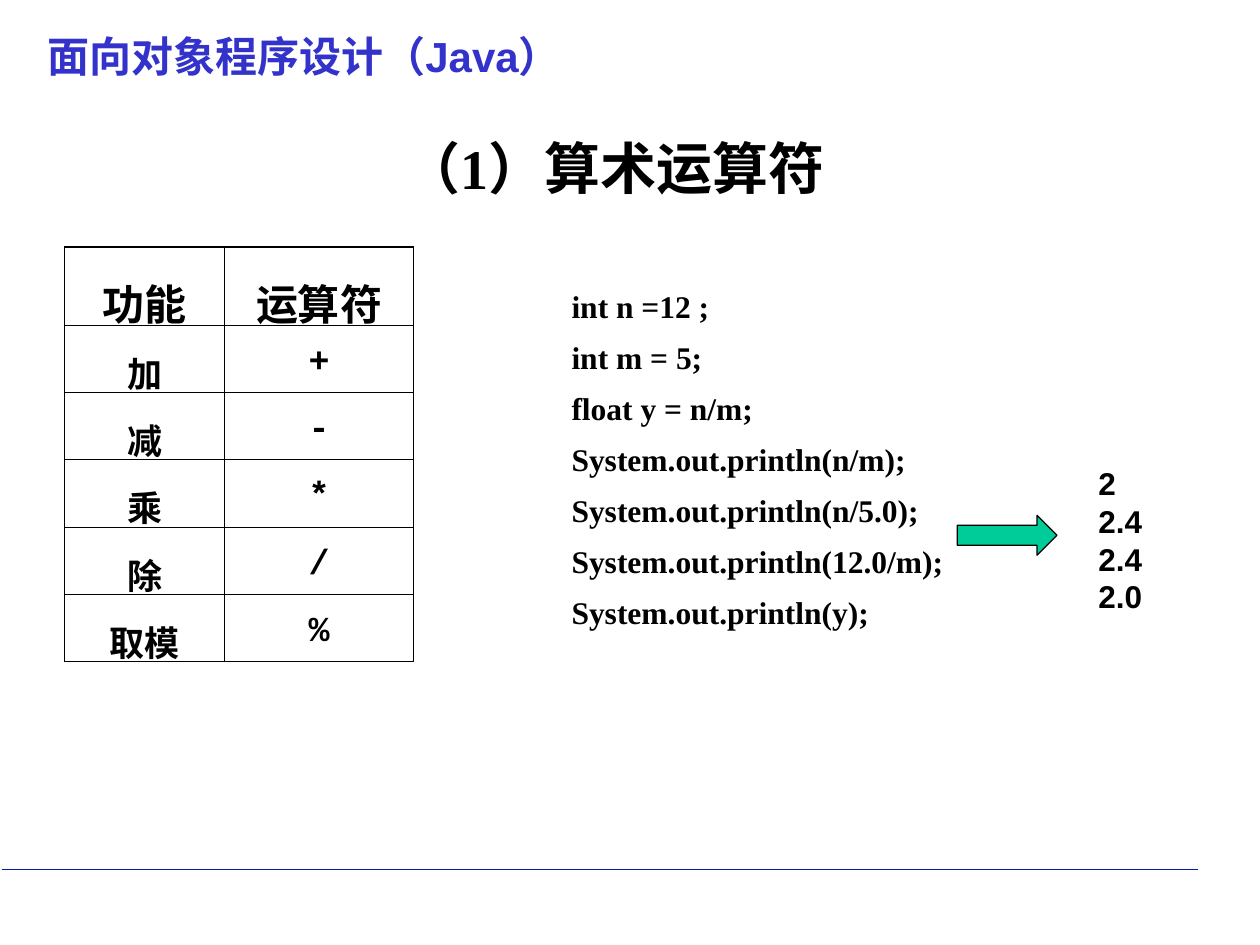
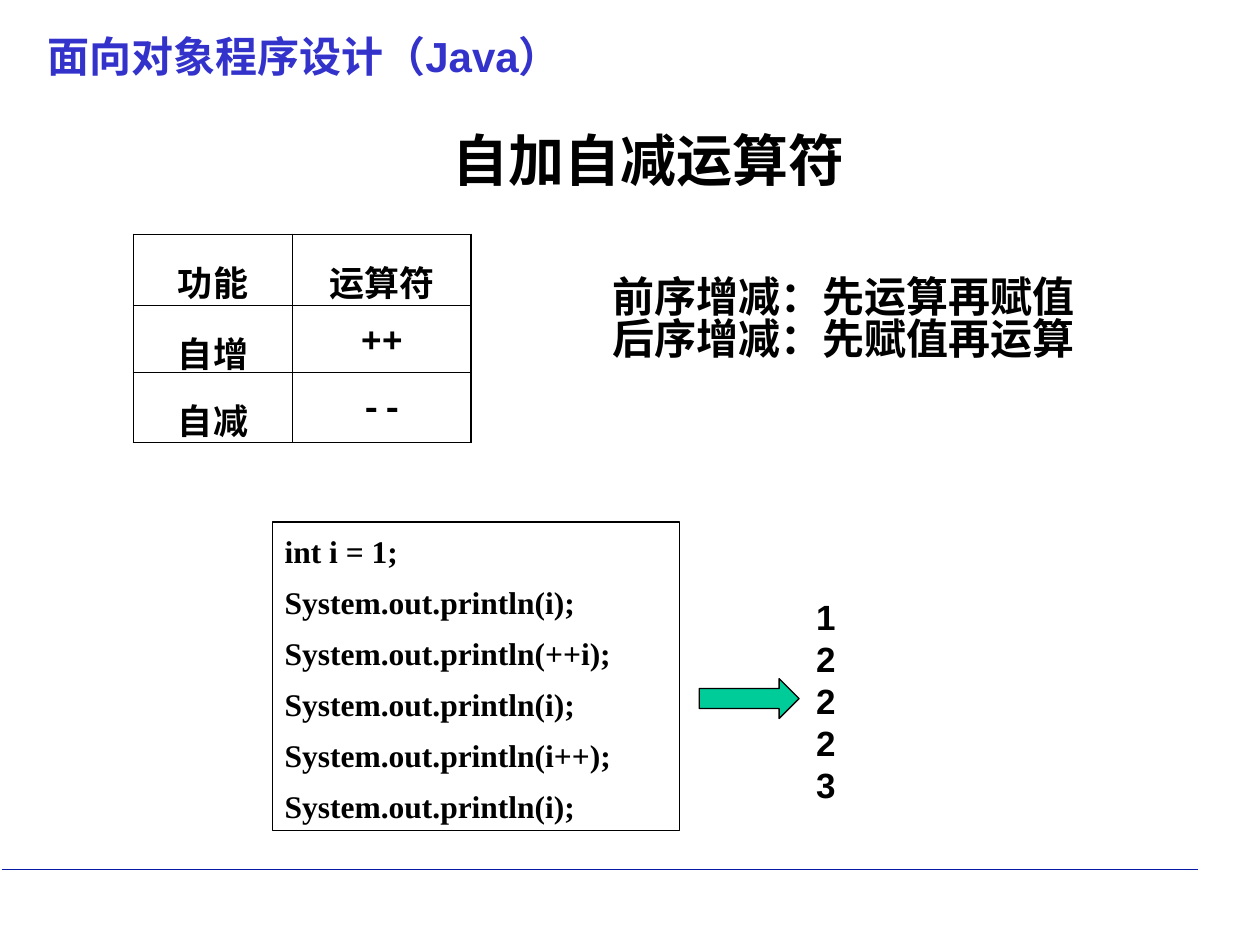
from dataclasses import dataclass

import pptx
import pptx.dml.color
import pptx.enum.shapes
import pptx.enum.text
import pptx.oxml.ns
import pptx.oxml.xmlchemy
import pptx.presentation
import pptx.shapes.autoshape
import pptx.slide
import pptx.table
import pptx.text.text
import pptx.util
from lxml import etree

Pt = pptx.util.Pt
RGBColor = pptx.dml.color.RGBColor
MSO_SHAPE = pptx.enum.shapes.MSO_SHAPE
PP_ALIGN = pptx.enum.text.PP_ALIGN
qn = pptx.oxml.ns.qn

BLACK = RGBColor(0x00, 0x00, 0x00)
COURSE_BLUE = RGBColor(0x33, 0x33, 0xCC)
RULE_BLUE = RGBColor(0x06, 0x1A, 0xAA)
ARROW_GREEN = RGBColor(0x00, 0xCC, 0x99)

SANS = "Arial"
SERIF = "Times New Roman"
MONO = "Courier New"
CHINESE = "Noto Sans CJK SC"

OUTER_BORDER = 0.96
INNER_BORDER = 0.45


@dataclass(frozen=True)
class Box:
    left: float
    top: float
    width: float
    height: float

    def lengths(self) -> tuple[int, int, int, int]:
        return Pt(self.left), Pt(self.top), Pt(self.width), Pt(self.height)


@dataclass(frozen=True)
class Style:
    font: str
    size: float
    color: RGBColor = BLACK
    align: PP_ALIGN = PP_ALIGN.LEFT
    line_spacing: float | int = 1.0
    space_before: float = 0


@dataclass(frozen=True)
class OperatorTable:
    left: float
    top: float
    column_widths: tuple[float, ...]
    row_heights: tuple[float, ...]
    rows: tuple[tuple[str, str], ...]
    header_size: float
    header_fonts: tuple[str, str]


COURSE_STYLE = Style(SANS, 24, COURSE_BLUE, line_spacing=0.9)
TITLE_STYLE = Style(SERIF, 32, align=PP_ALIGN.CENTER, line_spacing=0.9)
CODE_STYLE = Style(SERIF, 18, line_spacing=1.1, space_before=5.4)
RULE_STYLE = Style(SANS, 24, line_spacing=0.83)


def output_style(size: float) -> Style:
    return Style(SANS, size, line_spacing=Pt(size * 1.2))


def write(frame: pptx.text.text.TextFrame, lines: tuple[str, ...], style: Style) -> None:
    for index, line in enumerate(lines):
        paragraph = frame.paragraphs[0] if index == 0 else frame.add_paragraph()
        paragraph.alignment = style.align
        paragraph.line_spacing = style.line_spacing
        if index and style.space_before:
            paragraph.space_before = Pt(style.space_before)
        run = paragraph.add_run()
        run.text = line
        run.font.name = style.font
        run.font.size = Pt(style.size)
        run.font.bold = True
        run.font.color.rgb = style.color
        etree.SubElement(run.font._element, qn("a:ea"), typeface=CHINESE)


def add_text(slide: pptx.slide.Slide, box: Box, lines: tuple[str, ...],
             style: Style, wrap: bool = True) -> None:
    frame = slide.shapes.add_textbox(*box.lengths()).text_frame
    frame.word_wrap = wrap
    write(frame, lines, style)


def add_outlined(slide: pptx.slide.Slide, kind: MSO_SHAPE, box: Box,
                 fill: RGBColor | None = None) -> pptx.shapes.autoshape.Shape:
    shape = slide.shapes.add_shape(kind, *box.lengths())
    shape.shadow.inherit = False
    if fill is None:
        shape.fill.background()
    else:
        shape.fill.solid()
        shape.fill.fore_color.rgb = fill
    shape.line.color.rgb = BLACK
    shape.line.width = Pt(0.75)
    return shape


def add_result_arrow(slide: pptx.slide.Slide, left: float, top: float) -> None:
    add_outlined(slide, MSO_SHAPE.RIGHT_ARROW, Box(left, top, 57, 22.8), ARROW_GREEN)


def add_code_frame(slide: pptx.slide.Slide, box: Box, lines: tuple[str, ...]) -> None:
    frame = add_outlined(slide, MSO_SHAPE.RECTANGLE, box).text_frame
    frame.word_wrap = True
    frame.vertical_anchor = pptx.enum.text.MSO_ANCHOR.TOP
    write(frame, lines, CODE_STYLE)


def set_borders(cell: pptx.table._Cell, outer_sides: dict[str, bool]) -> None:
    properties = cell._tc.get_or_add_tcPr()
    for position, (side, is_outer) in enumerate(outer_sides.items()):
        width = Pt(OUTER_BORDER if is_outer else INNER_BORDER)
        border = etree.Element(qn(f"a:{side}"), w=str(int(width)))
        fill = etree.SubElement(border, qn("a:solidFill"))
        etree.SubElement(fill, qn("a:srgbClr"), val=str(BLACK))
        properties.insert(position, border)


def add_operator_table(slide: pptx.slide.Slide, content: OperatorTable) -> None:
    row_count, column_count = len(content.rows), len(content.column_widths)
    box = Box(content.left, content.top, sum(content.column_widths), sum(content.row_heights))
    table = slide.shapes.add_table(row_count, column_count, *box.lengths()).table
    table.first_row = False
    table.horz_banding = False
    for column, width in zip(table.columns, content.column_widths):
        column.width = Pt(width)
    for row_index, (row, height) in enumerate(zip(table.rows, content.row_heights)):
        row.height = Pt(height)
        is_header = row_index == 0
        fonts = content.header_fonts if is_header else (SERIF, MONO)
        size = content.header_size if is_header else 20
        for column_index, text in enumerate(content.rows[row_index]):
            cell = table.cell(row_index, column_index)
            cell.fill.background()
            style = Style(fonts[column_index], size, align=PP_ALIGN.CENTER, line_spacing=1.3)
            write(cell.text_frame, (text,), style)
            set_borders(cell, {
                "lnL": column_index == 0,
                "lnR": column_index == column_count - 1,
                "lnT": is_header,
                "lnB": row_index == row_count - 1,
            })


def add_course_slide(deck: pptx.presentation.Presentation, title: str,
                     title_box: Box) -> pptx.slide.Slide:
    slide = deck.slides.add_slide(deck.slide_layouts[6])
    footer_rule = slide.shapes.add_connector(
        pptx.enum.shapes.MSO_CONNECTOR.STRAIGHT, Pt(1), Pt(496.8), Pt(684.7), Pt(496.8))
    footer_rule.line.color.rgb = RULE_BLUE
    footer_rule.line.width = Pt(1)
    etree.SubElement(footer_rule._element.spPr, qn("a:effectLst"))
    add_text(slide, Box(20, 17.3, 664, 36.7), ("面向对象程序设计（Java）",), COURSE_STYLE)
    add_text(slide, title_box, (title,), TITLE_STYLE)
    return slide


def build_arithmetic(deck: pptx.presentation.Presentation) -> None:
    slide = add_course_slide(deck, "（1）算术运算符", Box(36.7, 77, 629.3, 51))
    add_operator_table(slide, OperatorTable(
        left=36.9, top=141.1,
        column_widths=(91.4, 108), row_heights=(44.6,) + (38.2,) * 5,
        rows=(("功能", "运算符"), ("加", "+"), ("减", "-"),
              ("乘", "*"), ("除", "/"), ("取模", "%")),
        header_size=24, header_fonts=(SERIF, SERIF)))
    add_text(slide, Box(319.5, 158.4, 245, 213), (
        "int n =12 ;",
        "int m = 5;",
        "float y = n/m;",
        "System.out.println(n/m);",
        "System.out.println(n/5.0);",
        "System.out.println(12.0/m);",
        "System.out.println(y);",
    ), CODE_STYLE)
    add_text(slide, Box(620.6, 261.6, 39.6, 93.6), ("2", "2.4", "2.4", "2.0"),
             output_style(18), wrap=False)
    add_result_arrow(slide, 547, 294.5)


def build_increment(deck: pptx.presentation.Presentation) -> None:
    slide = add_course_slide(deck, "自加自减运算符", Box(46.8, 72.7, 648, 55.4))
    add_operator_table(slide, OperatorTable(
        left=76.4, top=134,
        column_widths=(90.7, 102.2), row_heights=(40.3, 38.2, 40.3),
        rows=(("功能", "运算符"), ("自增", "++"), ("自减", "--")),
        header_size=20, header_fonts=(SERIF, CHINESE)))
    add_text(slide, Box(342.7, 156, 311.8, 64.8),
             ("前序增减：先运算再赋值", "后序增减：先赋值再运算"), RULE_STYLE)
    add_code_frame(slide, Box(155.6, 298.3, 232.6, 176.2), (
        "int i = 1;",
        "System.out.println(i);",
        "System.out.println(++i);",
        "System.out.println(i);",
        "System.out.println(i++);",
        "System.out.println(i);",
    ))
    add_text(slide, Box(459.2, 336.5, 25.2, 127.4), ("1", "2", "2", "2", "3"),
             output_style(20), wrap=False)
    add_result_arrow(slide, 399.6, 387.8)


def main() -> None:
    deck = pptx.Presentation()
    deck.slide_width = Pt(720)
    deck.slide_height = Pt(540)
    build_arithmetic(deck)
    build_increment(deck)
    deck.save("out.pptx")


if __name__ == "__main__":
    main()
